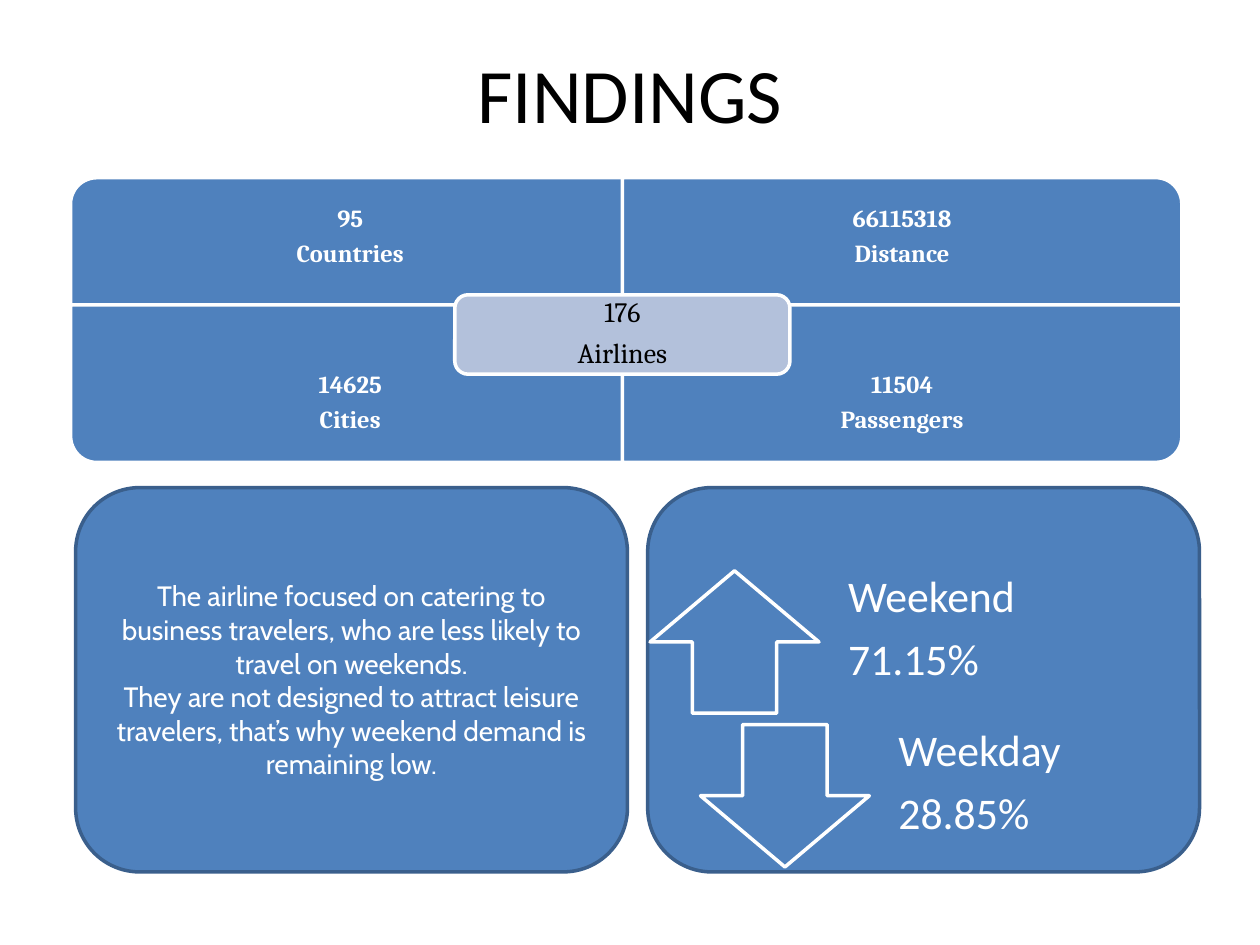
import pptx
import pptx.dml.color
import pptx.enum.shapes
import pptx.enum.text
import pptx.util

RGBColor = pptx.dml.color.RGBColor
SHAPE = pptx.enum.shapes.MSO_SHAPE
ALIGN = pptx.enum.text.PP_ALIGN

BLUE = RGBColor(0x4F, 0x81, 0xBD)
NAVY = RGBColor(0x3A, 0x5F, 0x8C)
PALE = RGBColor(0xB3, 0xC1, 0xDB)
WHITE = RGBColor(0xFF, 0xFF, 0xFF)
BLACK = RGBColor(0x00, 0x00, 0x00)

prs = pptx.Presentation()
prs.slide_width = pptx.util.Inches(10)
prs.slide_height = pptx.util.Inches(7.5)
COL, ROW = prs.slide_width / 100, prs.slide_height / 100
slide = prs.slides.add_slide(prs.slide_layouts[6])


def add_block(kind, x, y, w, h, fill=BLUE, line=WHITE, turn=0):
    """Add a shape that covers the given columns and rows after its turn."""
    left, top, width, height = x * COL, y * ROW, w * COL, h * ROW
    if turn % 180:
        left, top = left + (width - height) / 2, top + (height - width) / 2
        width, height = height, width
    sp = slide.shapes.add_shape(kind, round(left), round(top), round(width), round(height))
    sp.rotation = turn
    sp.shadow.inherit = False
    sp.fill.solid()
    sp.fill.fore_color.rgb = fill
    sp.line.color.rgb = line
    sp.line.width = pptx.util.Pt(2)
    return sp


def add_lines(x, y, w, h, lines, font, size, color=WHITE, bold=False,
              align=ALIGN.CENTER, insets=(0.11, 0.11, 0.11, 0.11)):
    """Add a text box with one spaced paragraph per line."""
    sp = slide.shapes.add_textbox(round(x * COL), round(y * ROW), round(w * COL), round(h * ROW))
    tf = sp.text_frame
    tf.word_wrap = True
    tf.vertical_anchor = pptx.enum.text.MSO_ANCHOR.MIDDLE
    tf.margin_left, tf.margin_top, tf.margin_right, tf.margin_bottom = map(pptx.util.Inches, insets)
    for i, text in enumerate(lines):
        p = tf.add_paragraph() if i else tf.paragraphs[0]
        p.alignment = align
        if len(lines) > 1:
            p.line_spacing = 0.9
            p.space_after = pptx.util.Pt(0.35 * size)
        r = p.add_run()
        r.text = text
        r.font.name, r.font.size, r.font.bold = font, pptx.util.Pt(size), bold
        r.font.color.rgb = color


add_lines(5, 4, 90, 11.6, ["FINDINGS"], "Calibri", 44, BLACK)

# Four key figures around the airline count
LEFT, RIGHT = 5.6, 49.4
quadrants = [
    (LEFT, 18.8, 18.8, 270, ["95", "Countries"]),
    (RIGHT, 18.8, 18.8, 0, ["66115318", "Distance"]),
    (LEFT, 32.27, 36.4, 180, ["14625", "Cities"]),
    (RIGHT, 32.27, 36.4, 90, ["11504", "Passengers"]),
]
for x, y, text_y, turn, lines in quadrants:
    add_block(SHAPE.ROUND_1_RECTANGLE, x, y, 44.4, 16.67, turn=turn)
    add_lines(x, text_y, 44.4, 12.5, lines, "Cambria", 14, bold=True)
add_block(SHAPE.ROUNDED_RECTANGLE, 36.1, 31.2, 26.6, 8.4, fill=PALE)
add_lines(36.4, 31.6, 26, 7.47, ["176", "Airlines"], "Cambria", 16, BLACK,
          insets=(0.07, 0.07, 0.07, 0.07))

# Explanation panel and weekend/weekday panel
panels = [add_block(SHAPE.ROUNDED_RECTANGLE, x, 51.6, 43.8, 40.67, line=NAVY) for x in (6, 51.4)]
tf = panels[0].text_frame
tf.word_wrap = True
tf.vertical_anchor = pptx.enum.text.MSO_ANCHOR.MIDDLE
p = tf.paragraphs[0]
p.alignment = ALIGN.CENTER
sentences = [
    "The airline focused on catering to business travelers, who are less likely to travel on weekends.",
    "They are not designed to attract leisure travelers, that’s why weekend demand is remaining low.",
]
for i, text in enumerate(sentences):
    if i:
        p.add_line_break()
    r = p.add_run()
    r.text = text
    r.font.name, r.font.size = "Cabin", pptx.util.Pt(16)
    r.font.color.rgb = WHITE

shares = [
    (SHAPE.UP_ARROW, 51.6, 60.4, ["Weekend", "71.15%"]),
    (SHAPE.DOWN_ARROW, 55.6, 76.67, ["Weekday", "28.85%"]),
]
for arrow, x, y, lines in shares:
    add_block(arrow, x, y, 13.4, 15.07)
    add_lines(x + 13.8, y, 22.8, 15.07, lines, "Calibri", 25, align=ALIGN.LEFT,
              insets=(0.19, 0, 0.19, 0.19))

prs.save("out.pptx")
